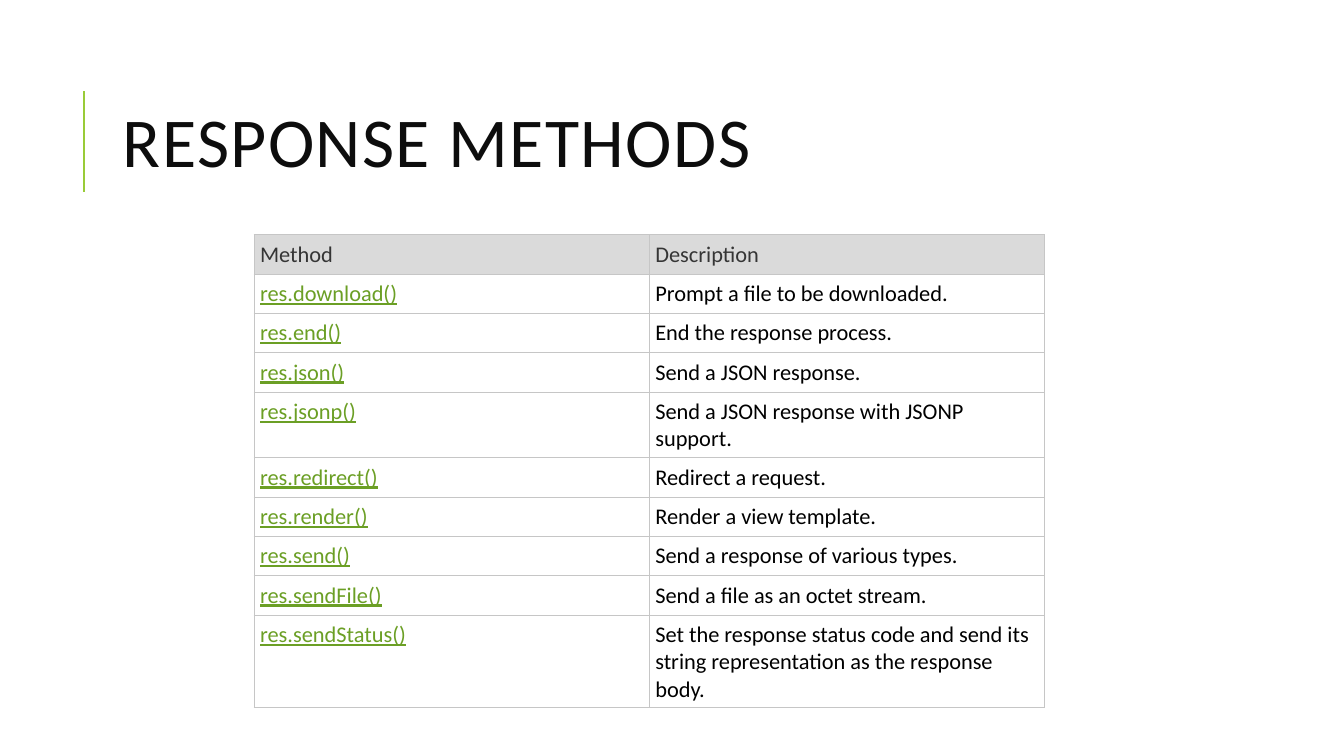
from lxml import etree
from pptx import Presentation
from pptx.dml.color import RGBColor
from pptx.enum.shapes import MSO_CONNECTOR
from pptx.enum.text import MSO_ANCHOR
from pptx.oxml.ns import qn
from pptx.util import Inches, Pt

STRAIGHT = MSO_CONNECTOR.STRAIGHT
MIDDLE = MSO_ANCHOR.MIDDLE

TITLE = "RESPONSE METHODS"
HEADER = ("Method", "Description")
METHODS = [
    ("res.download()", "Prompt a file to be downloaded."),
    ("res.end()", "End the response process."),
    ("res.json()", "Send a JSON response."),
    ("res.jsonp()", "Send a JSON response with JSONP support."),
    ("res.redirect()", "Redirect a request."),
    ("res.render()", "Render a view template."),
    ("res.send()", "Send a response of various types."),
    ("res.sendFile()", "Send a file as an octet stream."),
    ("res.sendStatus()", "Set the response status code and send its string "
                         "representation as the response body."),
]
COLORS = {
    "accent": "99CB38", "title": "0D0D0D", "header": "353535",
    "header_fill": "DADADA", "method": "6B9F25", "text": "000000",
    "border": "C6C6C6",
}
FONT = "Calibri"
COL_W, ROW_H, TALL_ROW_H = 3.92, 0.39, 0.65
WRAP_CHARS = 36
CELL_INSET = 0.06


def rgb(name):
    return RGBColor.from_string(COLORS[name])


def style_run(r, size, color):
    r.font.name = FONT
    r.font.size = Pt(size)
    r.font.color.rgb = rgb(color)


def add_borders(cell):
    tc_pr = cell._tc.get_or_add_tcPr()
    for side in ("a:lnL", "a:lnR", "a:lnT", "a:lnB"):
        ln = etree.SubElement(tc_pr, qn(side), w=str(Pt(0.75)))
        fill = etree.SubElement(ln, qn("a:solidFill"))
        etree.SubElement(fill, qn("a:srgbClr"), val=COLORS["border"])


def add_title(s):
    line = s.shapes.add_connector(
        STRAIGHT, Inches(0.83), Inches(1.9), Inches(0.83), Inches(0.9))
    line.line.color.rgb = rgb("accent")
    line.line.width = Pt(1.5)
    etree.SubElement(line._element.spPr, qn("a:effectLst"))

    sp = s.shapes.add_textbox(Inches(1.12), Inches(0.64), Inches(10.63), Inches(1.64))
    tf = sp.text_frame
    tf.word_wrap = True
    tf.vertical_anchor = MIDDLE
    tf.text = TITLE
    p = tf.paragraphs[0]
    p.line_spacing = 0.8
    r = p.runs[0]
    style_run(r, 50, "title")
    r.font._element.set("spc", "100")


def fill_cell(cell, text, color, is_header):
    cell.margin_left = cell.margin_right = Inches(CELL_INSET)
    cell.margin_top = cell.margin_bottom = Inches(CELL_INSET)
    add_borders(cell)
    if is_header:
        cell.fill.solid()
        cell.fill.fore_color.rgb = rgb("header_fill")
    else:
        cell.fill.background()
    cell.text_frame.text = text
    r = cell.text_frame.paragraphs[0].runs[0]
    style_run(r, 16, color)
    r.font.bold = False
    r.font.underline = color == "method"


def add_methods_table(s):
    rows = [HEADER] + METHODS
    heights = [TALL_ROW_H if len(text) > WRAP_CHARS else ROW_H for _, text in rows]
    table = s.shapes.add_table(
        len(rows), len(HEADER), Inches(2.52), Inches(2.33),
        Inches(COL_W * len(HEADER)), Inches(sum(heights))).table
    table.first_row = table.horz_banding = False
    for col in table.columns:
        col.width = Inches(COL_W)
    for i, (row, height) in enumerate(zip(rows, heights)):
        table.rows[i].height = Inches(height)
        colors = ("method", "text") if i else ("header", "header")
        for j, (text, color) in enumerate(zip(row, colors)):
            fill_cell(table.cell(i, j), text, color, i == 0)


def main():
    """Build the response methods slide."""
    prs = Presentation()
    prs.slide_width, prs.slide_height = Inches(13.33), Inches(7.5)
    s = prs.slides.add_slide(prs.slide_layouts[6])
    add_title(s)
    add_methods_table(s)
    prs.save("out.pptx")


if __name__ == "__main__":
    main()
